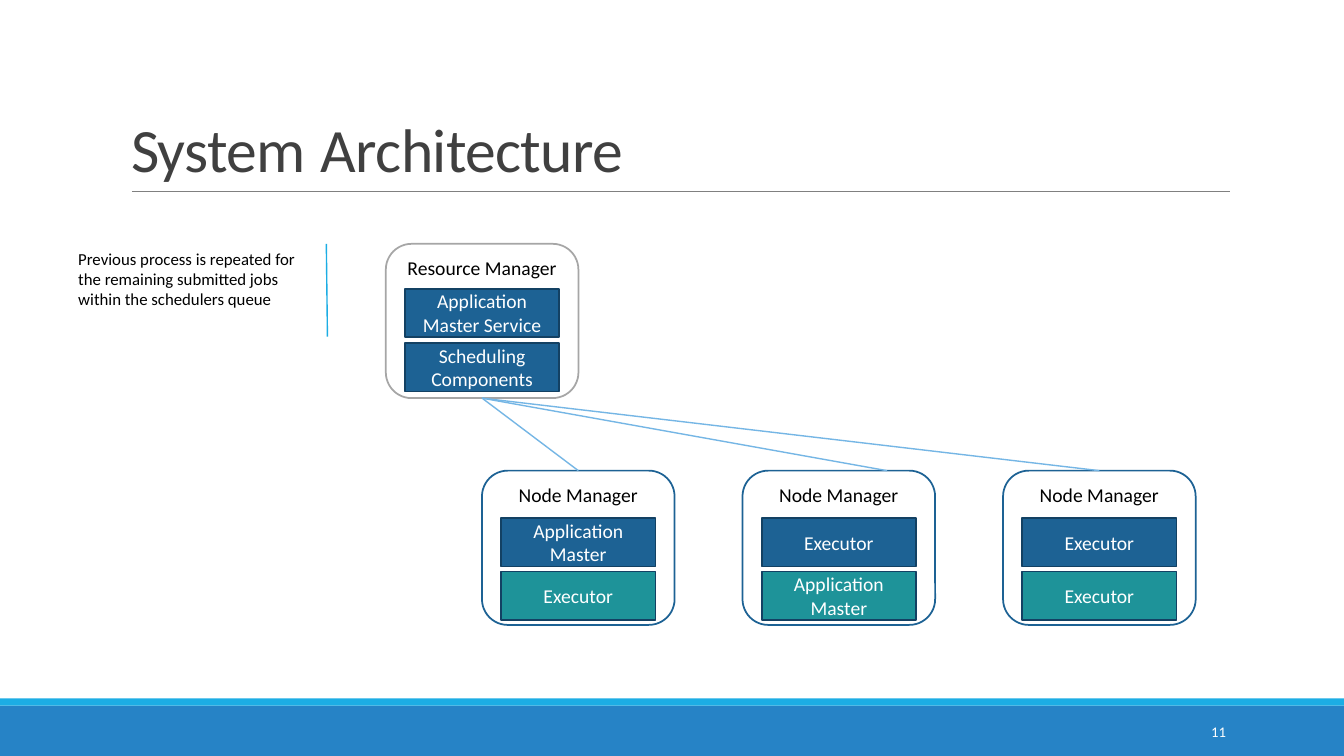
from dataclasses import dataclass

from pptx import Presentation
from pptx.dml.color import RGBColor
from pptx.enum import shapes, text
from pptx.oxml import xmlchemy as ox
from pptx.util import Pt


@dataclass(frozen=True)
class Theme:
    font: str = "Calibri"
    title: float = 44
    gap: float = 48
    label: float = 14
    note: float = 12
    page: float = 10.5
    black: str = "000000"
    white: str = "FFFFFF"
    head: str = "404040"
    rule: str = "808080"
    gray: str = "A6A6A6"
    blue: str = "1D6294"
    navy: str = "134163"
    teal: str = "1E9399"
    cyan: str = "1CADE4"
    sky: str = "75B6E5"
    foot: str = "2683C6"


@dataclass(frozen=True)
class Manager:
    name: str
    left: float
    top: float
    line: str
    slots: tuple[str, str]
    fills: tuple[str, str]
    drop: float  # from the manager's top to its first slot
    step: float  # from one slot to the next


T = Theme()
WIDE, TALL = 137.6, 110.2
SLOT_W, SLOT_H = 110.2, 34.6
NODE_X, NODE_Y, PITCH = 344.3, 336.2, 186.1
JOBS = (("Application Master", "Executor"),
        ("Executor", "Application Master"),
        ("Executor", "Executor"))


def color(code: str) -> RGBColor:
    return RGBColor.from_string(code)


def write(shape, words: str, *, size: float = T.label, tint: str = T.black,
          align=text.PP_ALIGN.CENTER, anchor=text.MSO_ANCHOR.TOP):
    """Put one formatted paragraph into a shape and return it."""
    frame = shape.text_frame
    frame.word_wrap = True
    frame.auto_size = text.MSO_AUTO_SIZE.NONE
    frame.vertical_anchor = anchor
    para = frame.paragraphs[0]
    para.alignment = align
    run = para.add_run()
    run.text = words
    style(run, size, tint)
    return para


def style(run, size: float, tint: str) -> None:
    run.font.name = T.font
    run.font.size = Pt(size)
    run.font.color.rgb = color(tint)


def box(slide, kind, left: float, top: float, width: float, height: float,
        fill: str | None = None, line: str | None = None):
    shape = slide.shapes.add_shape(kind, Pt(left), Pt(top), Pt(width), Pt(height))
    shape.shadow.inherit = False
    if fill:
        shape.fill.solid()
        shape.fill.fore_color.rgb = color(fill)
    else:
        shape.fill.background()
    if line:
        shape.line.color.rgb = color(line)
        shape.line.width = Pt(1.25)
    else:
        shape.line.fill.background()
    return shape


def link(slide, x1: float, y1: float, x2: float, y2: float,
         tint: str, width: float = 1):
    line = slide.shapes.add_connector(
        shapes.MSO_CONNECTOR.STRAIGHT, Pt(x1), Pt(y1), Pt(x2), Pt(y2))
    line.line.color.rgb = color(tint)
    line.line.width = Pt(width)
    props = line._element.spPr
    props.append(props.makeelement(ox.qn("a:effectLst"), {}))
    return line


def label(slide, words: str, left: float, top: float, width: float,
          height: float, **form) -> None:
    area = slide.shapes.add_textbox(Pt(left), Pt(top), Pt(width), Pt(height))
    write(area, words, **form)


def draw(slide, unit: Manager):
    frame = box(slide, shapes.MSO_SHAPE.ROUNDED_RECTANGLE,
                unit.left, unit.top, WIDE, TALL, line=unit.line)
    write(frame, unit.name)
    inset = (WIDE - SLOT_W) / 2
    for row, (words, fill) in enumerate(zip(unit.slots, unit.fills)):
        slot = box(slide, shapes.MSO_SHAPE.RECTANGLE, unit.left + inset,
                   unit.top + unit.drop + row * unit.step,
                   SLOT_W, SLOT_H, fill, T.navy)
        write(slot, words, tint=T.white, anchor=text.MSO_ANCHOR.MIDDLE)
    return frame


def heading(slide) -> None:
    title = slide.shapes.title
    title.left, title.top = Pt(86.4), Pt(22.3)
    title.width, title.height = Pt(792), Pt(114.5)
    para = write(title, "System", size=T.title, tint=T.head,
                 align=text.PP_ALIGN.LEFT, anchor=text.MSO_ANCHOR.BOTTOM)
    para.line_spacing = 0.85
    for words, size in ((" ", T.gap), ("Architecture", T.title)):
        run = para.add_run()
        run.text = words
        style(run, size, T.head)
    for run in para.runs:
        run.font._element.set("spc", "-50")


def main() -> None:
    deck = Presentation()
    deck.slide_width, deck.slide_height = Pt(960), Pt(540)
    slide = deck.slides.add_slide(deck.slide_layouts[5])

    # Footer bands, title and its rule
    box(slide, shapes.MSO_SHAPE.RECTANGLE, 0, 504, 960, 36, T.foot)
    box(slide, shapes.MSO_SHAPE.RECTANGLE, 0, 498.8, 960, 5.2, T.cyan)
    link(slide, 94.3, 136.8, 878.8, 136.8, T.rule, 0.5)
    heading(slide)

    # Side note
    label(slide, "Previous process is repeated for the remaining submitted "
          "jobs within the schedulers queue", 48.8, 174.2, 185, 51,
          size=T.note, align=text.PP_ALIGN.LEFT)
    link(slide, 233.1, 174.2, 233.9, 240.5, T.cyan)

    # Resource manager above three node managers
    root = Manager("Resource Manager", 275.6, 174.2, T.gray,
                   ("Application Master Service", "Scheduling Components"),
                   (T.blue, T.blue), 32, 38.8)
    hub = draw(slide, root)
    nodes = [Manager("Node Manager", NODE_X + i * PITCH, NODE_Y, T.blue,
                     jobs, (T.blue, T.teal), 33.9, 38.2)
             for i, jobs in enumerate(JOBS)]
    frames = [draw(slide, node) for node in nodes]

    # Links; the middle one lands right of its node's centre
    for i, (node, frame) in enumerate(zip(nodes, frames)):
        end = 633.6 if i == 1 else node.left + WIDE / 2
        line = link(slide, root.left + WIDE / 2, root.top + TALL,
                    end, NODE_Y, T.sky)
        line.begin_connect(hub, 2)
        if i != 1:
            line.end_connect(frame, 0)

    # Page number
    label(slide, "11", 779.8, 508.3, 103, 28.8, size=T.page, tint=T.white,
          align=text.PP_ALIGN.RIGHT, anchor=text.MSO_ANCHOR.MIDDLE)
    deck.save("out.pptx")


if __name__ == "__main__":
    main()
